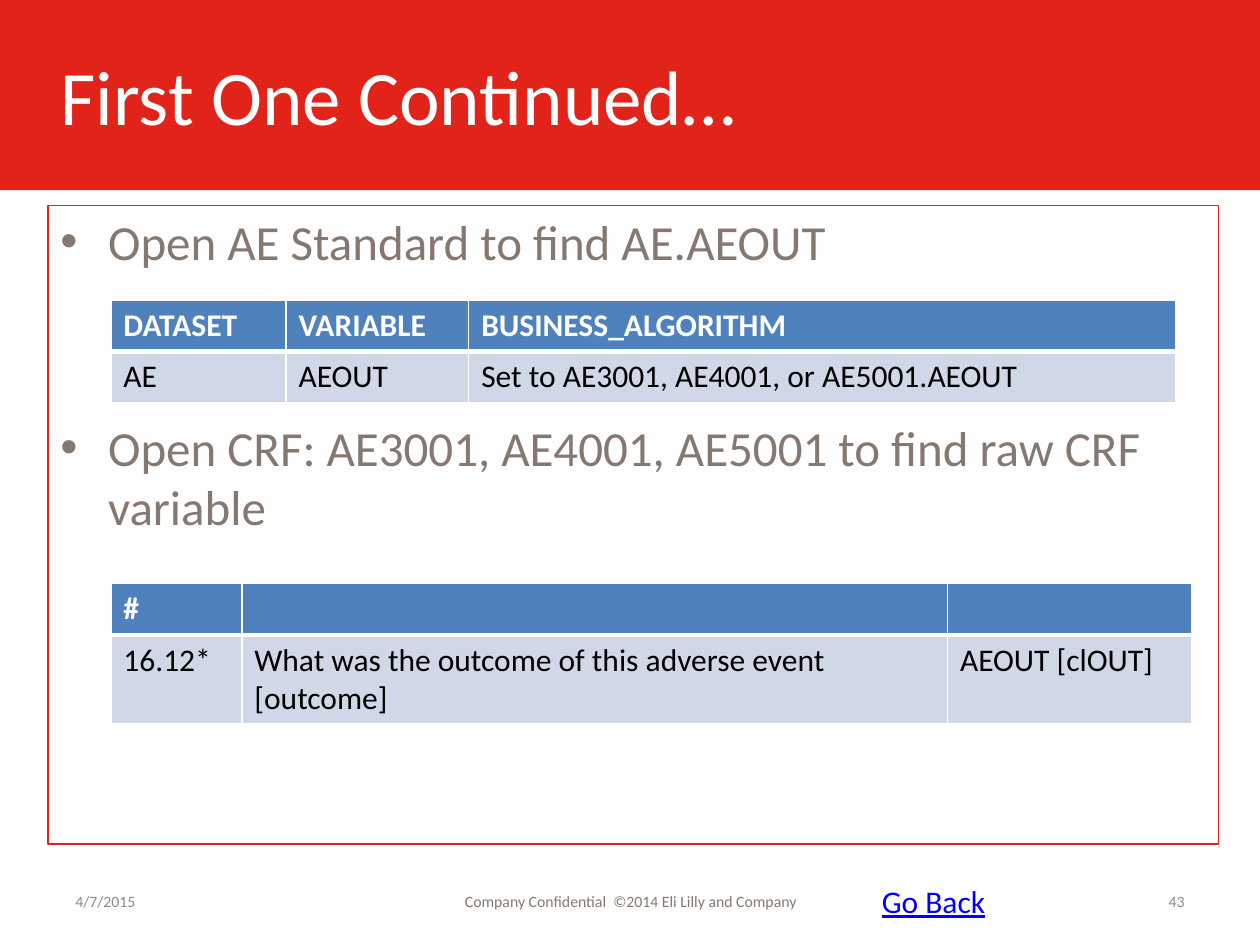
"""Build the slide that traces AE.AEOUT back to its raw CRF variable."""
from lxml.etree import SubElement
from pptx import Presentation
from pptx.dml.color import RGBColor
from pptx.enum.shapes import MSO_SHAPE
from pptx.enum.text import MSO_ANCHOR, PP_ALIGN
from pptx.oxml.ns import qn
from pptx.util import Inches, Pt

HUES = {"red": "E2231A", "white": "FFFFFF", "taupe": "86786F", "gray": "8C8C8C",
        "blue": "4F81BD", "pale": "D0D8E8", "black": "000000", "link": "0000FF"}


def style(para, size, hue, bold=False):
    for run in para.runs:
        run.font.name = "Calibri"
        run.font.size = Pt(size)
        run.font.bold = bold
        run.font.color.rgb = RGBColor.from_string(HUES[hue])


def add_text(spot, text, size, hue, align=PP_ALIGN.LEFT, anchor=MSO_ANCHOR.MIDDLE):
    box = slide.shapes.add_textbox(*map(Inches, spot))
    frame = box.text_frame
    frame.word_wrap = True
    frame.vertical_anchor = anchor
    frame.text = text
    for para in frame.paragraphs:
        para.alignment = align
        style(para, size, hue)
    return box


deck = Presentation()
deck.slide_width, deck.slide_height = Inches(10), Inches(7.5)
slide = deck.slides.add_slide(deck.slide_layouts[6])

band = slide.shapes.add_shape(MSO_SHAPE.RECTANGLE, 0, 0, Inches(10), Inches(1.51))
band.shadow.inherit = False
band.fill.solid()
band.fill.fore_color.rgb = RGBColor.from_string(HUES["red"])
band.line.fill.background()

add_text((0.38, 0.13, 9.29, 1.25), "First One Continued…", 44, "white")

steps = ["Open AE Standard to find AE.AEOUT",
         "Open CRF: AE3001, AE4001, AE5001 to find raw CRF variable"]
body = add_text((0.38, 1.63, 9.29, 5.07), "\n".join(steps), 28, "taupe",
                anchor=MSO_ANCHOR.TOP)
body.line.color.rgb = RGBColor.from_string(HUES["red"])
body.line.width = Pt(0.75)
for para in body.text_frame.paragraphs:
    props = para._p.get_or_add_pPr()
    props.set("marL", str(Inches(0.38)))
    props.set("indent", str(Inches(-0.38)))
    SubElement(props, qn("a:buFont"), typeface="Arial")
    SubElement(props, qn("a:buChar"), char="•")
body.text_frame.paragraphs[1].space_before = Pt(84)

tables = [
    (2.38, [1.39, 1.45, 5.61], [0.41, 0.41],
     [["DATASET", "VARIABLE", "BUSINESS_ALGORITHM"],
      ["AE", "AEOUT", "Set to AE3001, AE4001, or AE5001.AEOUT"]]),
    (4.63, [1.04, 5.6, 1.94], [0.41, 0.7],
     [["#", "", ""],
      ["16.12*", "What was the outcome of this adverse event [outcome]",
       "AEOUT [clOUT]"]]),
]
looks = [("blue", "white", True, {"lnB": 3}), ("pale", "black", False, {"lnT": 3})]
for top, wides, highs, rows in tables:
    grid = slide.shapes.add_table(
        len(rows), len(wides), Inches(0.88), Inches(top),
        Inches(sum(wides)), Inches(sum(highs))).table
    for col, wide in zip(grid.columns, wides):
        col.width = Inches(wide)
    for r, (high, words, look) in enumerate(zip(highs, rows, looks)):
        fill, ink, bold, thick = look
        grid.rows[r].height = Inches(high)
        for c, word in enumerate(words):
            cell = grid.cell(r, c)
            cell.text = word
            style(cell.text_frame.paragraphs[0], 18, ink, bold)
            props = cell._tc.get_or_add_tcPr()
            for side in ("lnL", "lnR", "lnT", "lnB"):
                edge = SubElement(props, qn("a:" + side), w=str(Pt(thick.get(side, 1))))
                SubElement(SubElement(edge, qn("a:solidFill")), qn("a:srgbClr"),
                           val=HUES["white"])
            cell.fill.solid()
            cell.fill.fore_color.rgb = RGBColor.from_string(HUES[fill])

add_text((0.5, 6.95, 2.33, 0.4), "4/7/2015", 9, "gray")
add_text((3.42, 6.95, 3.17, 0.4), "Company Confidential  ©2014 Eli Lilly and Company",
         9, "taupe", PP_ALIGN.CENTER)
add_text((7.17, 6.95, 2.33, 0.4), "43", 9, "gray", PP_ALIGN.RIGHT)
back = add_text((6.9, 6.95, 1.96, 0.4), "Go Back", 18, "link", anchor=MSO_ANCHOR.TOP)
back.text_frame.paragraphs[0].runs[0].font.underline = True

deck.save("out.pptx")
